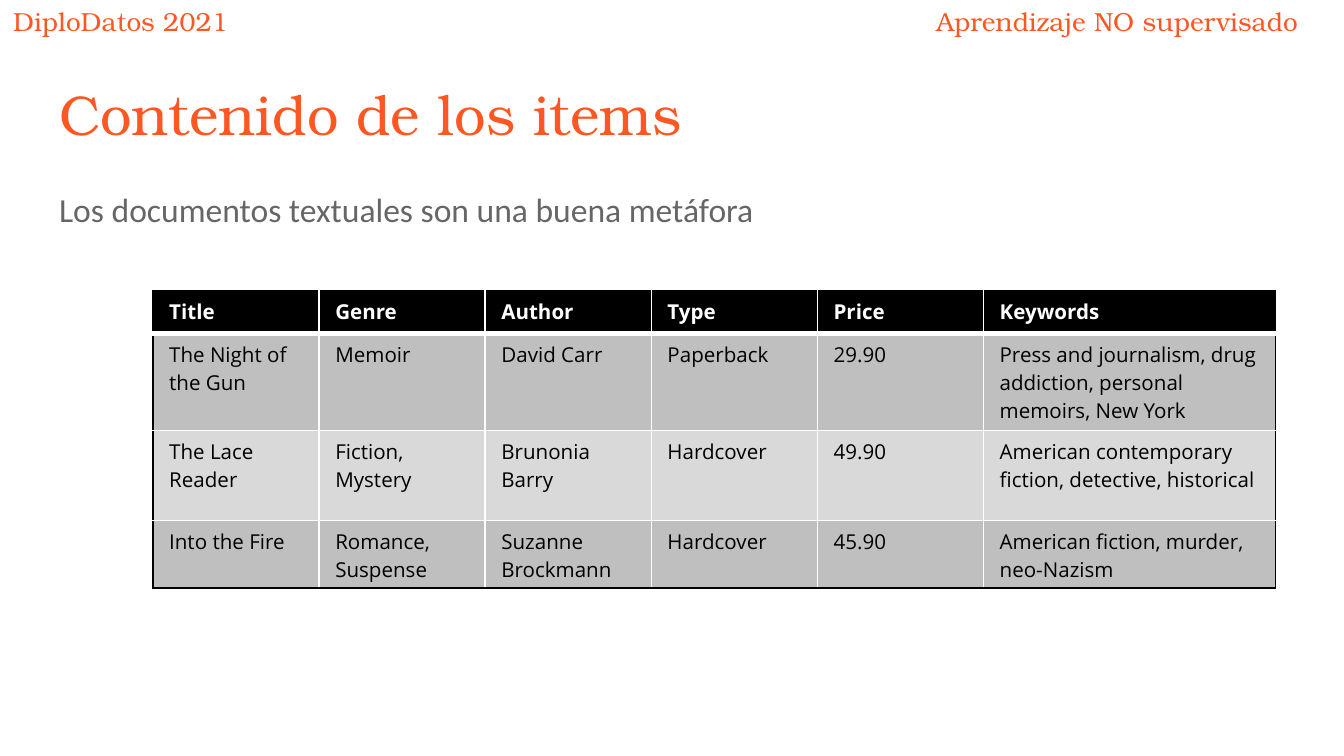
from dataclasses import dataclass

from lxml.etree import SubElement
from pptx import Presentation
from pptx.dml.color import RGBColor
from pptx.enum.text import MSO_ANCHOR, MSO_AUTO_SIZE, PP_ALIGN
from pptx.oxml.ns import qn
from pptx.util import Pt

HEADERS = [
    ("DiploDatos 2021", (0, -4.3, 147, 24.5)),
    ("Aprendizaje NO supervisado", (494.6, -4.3, 228.4, 24.5)),
]
TITLE = ("Contenido de los items", (24.5, 35.3, 671, 45.4))
BODY = ("Los documentos textuales son una buena metáfora", (24.5, 90.7, 671, 269.3))
BOOKS = [
    ("Title", "Genre", "Author", "Type", "Price", "Keywords"),
    ("The Night of the Gun", "Memoir", "David Carr", "Paperback", "29.90",
     "Press and journalism, drug addiction, personal memoirs, New York"),
    ("The Lace Reader", "Fiction, Mystery", "Brunonia Barry", "Hardcover", "49.90",
     "American contemporary fiction, detective, historical"),
    ("Into the Fire", "Romance, Suspense", "Suzanne Brockmann", "Hardcover", "45.90",
     "American fiction, murder, neo-Nazism"),
]
TABLE_LEFT, TABLE_TOP = 82, 155.6
COLUMN_WIDTHS = [89] * 5 + [156.4]
ROW_HEIGHTS = [23, 52, 48.2, 36.4]


@dataclass(frozen=True)
class Theme:
    display_font: str = "TeX Gyre Bonum"
    body_font: str = "Calibri"
    table_font: str = "Open Sans"
    accent: str = "FF5722"
    gray: str = "666666"
    black: str = "000000"
    white: str = "FFFFFF"
    bands: tuple = ("BFBFBF", "D9D9D9")
    header_size: float = 14
    title_size: float = 30
    body_size: float = 18
    table_size: float = 11
    thin: float = 0.96
    thick: float = 3


THEME = Theme()


def write(frame, text, *, font, size, color, bold=False, spacing=1.0,
          margins=(7.2, 7.2)):
    """Set left-aligned, unbulleted text in a text frame or a table cell."""
    frame.margin_left = frame.margin_right = Pt(margins[0])
    frame.margin_top = frame.margin_bottom = Pt(margins[1])
    frame.vertical_anchor = MSO_ANCHOR.TOP
    frame.word_wrap = True
    paragraph = frame.paragraphs[0]
    paragraph.alignment = PP_ALIGN.LEFT
    paragraph.line_spacing = spacing
    paragraph.space_before = paragraph.space_after = Pt(0)
    run = paragraph.add_run()
    run.text = text
    run.font.name = font
    run.font.size = Pt(size)
    run.font.bold = bold
    run.font.color.rgb = RGBColor.from_string(color)


def place(shape, box):
    shape.left, shape.top, shape.width, shape.height = map(Pt, box)
    shape.text_frame.auto_size = MSO_AUTO_SIZE.NONE


def remove_bullet(paragraph):
    properties = paragraph._p.get_or_add_pPr()
    properties.set("marL", "0")
    properties.set("indent", "0")
    SubElement(properties, qn("a:buNone"))


def set_borders(cell, borders):
    """Draw borders given as {side: (color, width)}, with sides in L, R, T, B order."""
    properties = cell._tc.get_or_add_tcPr()
    for index, (side, (color, width)) in enumerate(borders.items()):
        line = SubElement(properties, qn(f"a:ln{side}"), w=str(Pt(width)))
        fill = SubElement(line, qn("a:solidFill"))
        SubElement(fill, qn("a:srgbClr"), val=color)
        properties.insert(index, line)


def cell_borders(row, column):
    """Black around the table, white inside, and thick under the heading row."""
    def color(is_outer):
        return THEME.black if is_outer else THEME.white

    return {
        "L": (color(column == 0), THEME.thin),
        "R": (color(column == len(COLUMN_WIDTHS) - 1), THEME.thin),
        "T": (color(row == 0), THEME.thick if row == 1 else THEME.thin),
        "B": (color(row == len(BOOKS) - 1), THEME.thick if row == 0 else THEME.thin),
    }


def add_book_table(slide):
    table = slide.shapes.add_table(
        len(BOOKS), len(COLUMN_WIDTHS), Pt(TABLE_LEFT), Pt(TABLE_TOP),
        Pt(sum(COLUMN_WIDTHS)), Pt(sum(ROW_HEIGHTS))).table
    table.first_row = table.horz_banding = False
    for column, width in zip(table.columns, COLUMN_WIDTHS):
        column.width = Pt(width)
    for row, height in zip(table.rows, ROW_HEIGHTS):
        row.height = Pt(height)
    for row, book in enumerate(BOOKS):
        heading = row == 0
        background = THEME.black if heading else THEME.bands[(row - 1) % 2]
        for column, text in enumerate(book):
            cell = table.cell(row, column)
            cell.fill.solid()
            cell.fill.fore_color.rgb = RGBColor.from_string(background)
            write_cell(cell, text, heading)
            set_borders(cell, cell_borders(row, column))


def write_cell(cell, text, heading):
    cell.margin_left = cell.margin_right = Pt(8.64)
    cell.margin_top = cell.margin_bottom = Pt(3.6)
    cell.vertical_anchor = MSO_ANCHOR.TOP
    write(cell.text_frame, text, font=THEME.table_font, size=THEME.table_size,
          color=THEME.white if heading else THEME.black, bold=heading)


def main():
    presentation = Presentation()
    presentation.slide_width, presentation.slide_height = Pt(720), Pt(405)
    slide = presentation.slides.add_slide(presentation.slide_layouts[1])

    for text, box in HEADERS:
        header = slide.shapes.add_textbox(*map(Pt, box))
        write(header.text_frame, text, font=THEME.display_font,
              size=THEME.header_size, color=THEME.accent)

    title, body = slide.shapes.title, slide.placeholders[1]
    place(title, TITLE[1])
    write(title.text_frame, TITLE[0], font=THEME.display_font,
          size=THEME.title_size, color=THEME.accent)
    place(body, BODY[1])
    write(body.text_frame, BODY[0], font=THEME.body_font, size=THEME.body_size,
          color=THEME.gray, spacing=1.15)
    remove_bullet(body.text_frame.paragraphs[0])

    add_book_table(slide)
    presentation.save("out.pptx")


if __name__ == "__main__":
    main()
